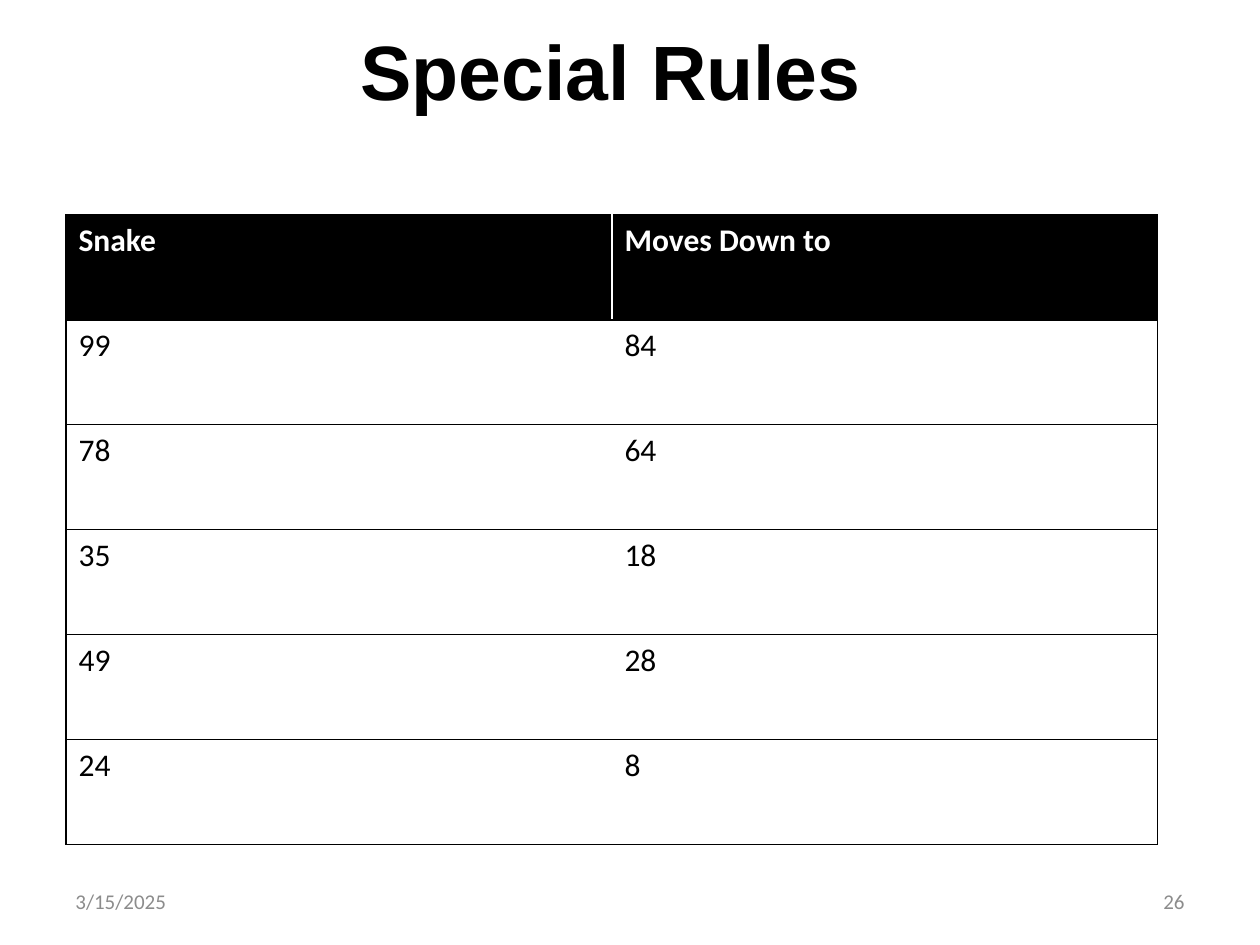
from lxml.etree import SubElement
from pptx import Presentation
from pptx.dml.color import RGBColor
from pptx.enum.text import MSO_ANCHOR, PP_ALIGN
from pptx.oxml.ns import qn
from pptx.util import Emu, Pt

PX = 914400 // 126
BLACK = RGBColor(0x00, 0x00, 0x00)
WHITE = RGBColor(0xFF, 0xFF, 0xFF)
GRAY = RGBColor(0x8C, 0x8C, 0x8C)


class SlideBuilder:
    def __init__(self, slide):
        self.slide = slide
        self.font = "Calibri"

    def box(self, *px):
        return [Emu(v * PX) for v in px]

    def style(self, p, size, color, bold=False, font=None):
        p.font.name = font or self.font
        p.font.size = Pt(size)
        p.font.bold = bold
        p.font.color.rgb = color

    def text(self, text, at, size, color, align=PP_ALIGN.LEFT, bold=False, font=None):
        tf = self.slide.shapes.add_textbox(*self.box(*at)).text_frame
        tf.word_wrap = True
        tf.vertical_anchor = MSO_ANCHOR.MIDDLE
        p = tf.paragraphs[0]
        p.text = text
        p.alignment = align
        self.style(p, size, color, bold, font)

    def borders(self, cell, sides):
        """Draw the given sides, in the order L, R, T, B, before the cell fill."""
        tcPr = cell._tc.get_or_add_tcPr()
        for side in sides:
            ln = SubElement(tcPr, qn(f"a:ln{side}"), w=str(Pt(0.75)))
            fill = SubElement(ln, qn("a:solidFill"))
            SubElement(fill, qn("a:srgbClr"), val=str(BLACK))

    def table(self, rows, at):
        shape = self.slide.shapes.add_table(len(rows), len(rows[0]), *self.box(*at))
        for i, row in enumerate(rows):
            header = i == 0
            for j, value in enumerate(row):
                cell = shape.table.cell(i, j)
                self.borders(cell, ("L" if j == 0 else "R", "T", "B"))
                cell.fill.solid()
                cell.fill.fore_color.rgb = BLACK if header else WHITE
                cell.text = value
                self.style(cell.text_frame.paragraphs[0], 18,
                           WHITE if header else BLACK, header)


prs = Presentation()
prs.slide_width, prs.slide_height = Emu(1260 * PX), Emu(945 * PX)
s = SlideBuilder(prs.slides.add_slide(prs.slide_layouts[6]))

# Title
s.text("Special Rules", (44, -9, 1134, 158), 44, BLACK, PP_ALIGN.CENTER, True, "Arial")

# Snake positions
s.table([
    ("Snake", "Moves Down to"),
    ("99", "84"),
    ("78", "64"),
    ("35", "18"),
    ("49", "28"),
    ("24", "8"),
], (66, 215, 1092, 630))

# Footer
s.text("3/15/2025", (63, 876, 294, 50), 12, GRAY)
s.text("26", (903, 876, 294, 50), 12, GRAY, PP_ALIGN.RIGHT)

prs.save("out.pptx")
